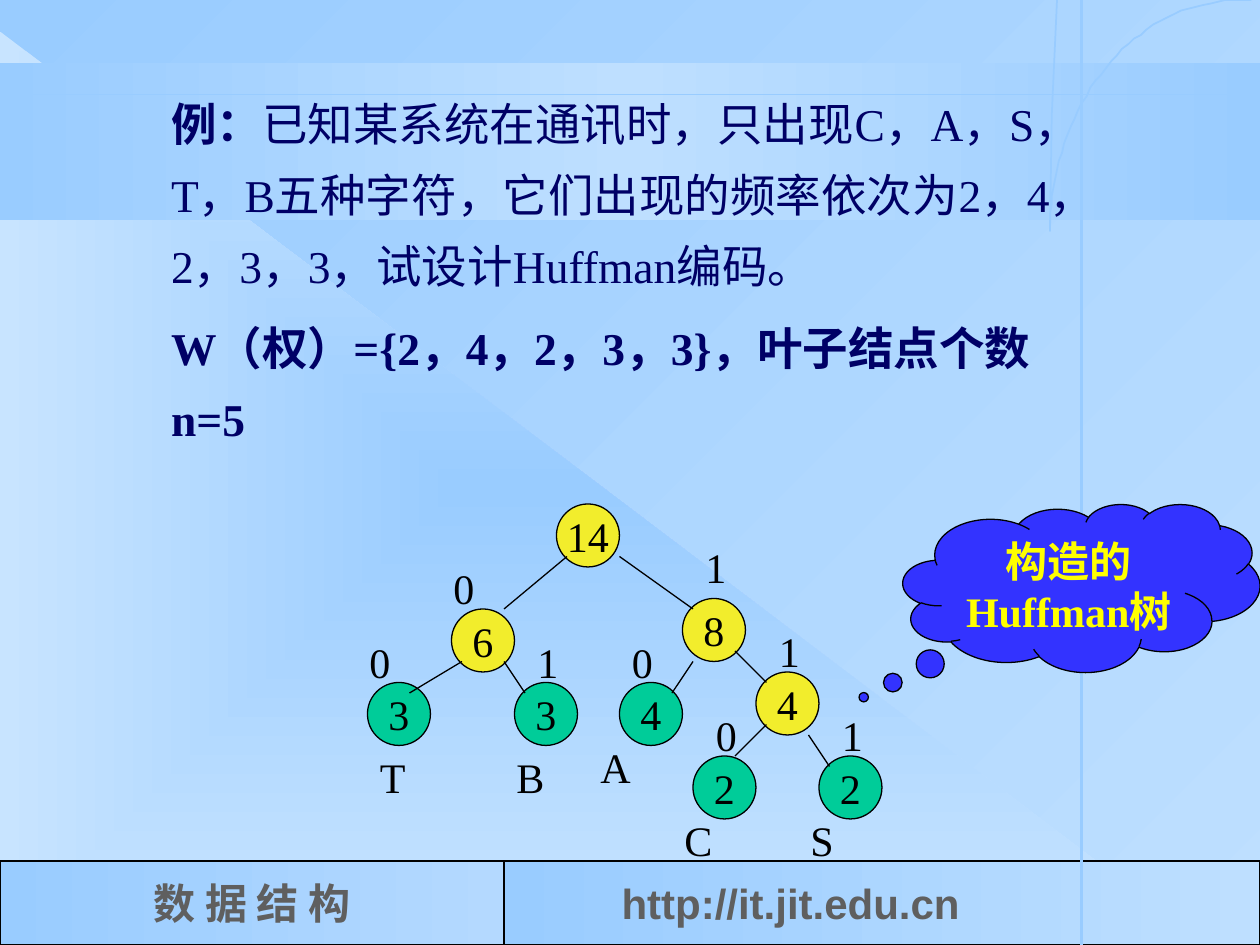
from math import cos, pi, sin

from lxml.etree import SubElement
from pptx import Presentation
from pptx.dml.color import RGBColor
from pptx.enum.shapes import MSO_CONNECTOR, MSO_SHAPE
from pptx.enum.text import MSO_ANCHOR, PP_ALIGN
from pptx.oxml.ns import qn
from pptx.util import Pt

SKY = RGBColor(0x99, 0xCC, 0xFF)
PALE = RGBColor(0xBE, 0xDF, 0xFF)
PALER = RGBColor(0xC8, 0xE4, 0xFF)
MIST = RGBColor(0xB4, 0xD9, 0xFF)
BLACK = RGBColor(0, 0, 0)
GRAY = RGBColor(0x5F, 0x5F, 0x5F)
NAVY = RGBColor(0, 0, 0x66)
YELLOW = RGBColor(0xFF, 0xFF, 0)
BLUE = RGBColor(0x33, 0x33, 0xFF)
INNER = RGBColor(0xF2, 0xED, 0x2C)
LEAF = RGBColor(0, 0xCC, 0x99)
SERIF = "Times New Roman"

# Each paragraph is a list of (text, bold) spans
PROBLEM = [
    [("例：", True),
     ("已知某系统在通讯时，只出现C，A，S，T，B五种字符，"
      "它们出现的频率依次为2，4，2，3，3，试设计Huffman编码。", False)],
    [("W（权）={2，4，2，3，3}，叶子结点个数n=5", True)],
]

# Tree positions are in grid steps of 6 points
GRID = 6
NODES = [  # weight, left, top, colour
    ("14", 53, 48, INNER), ("8", 65, 57, INNER), ("4", 72, 64, INNER),
    ("6", 43, 58, INNER), ("4", 59, 65, LEAF), ("2", 66, 72, LEAF),
    ("2", 78, 72, LEAF), ("3", 35, 65, LEAF), ("3", 49, 65, LEAF),
]
EDGES = [  # from, to, bit, left and top of the bit
    ((54, 53), (48, 58), "0", (42, 53)),
    ((59, 53), (66, 58), "1", (66, 51)),
    ((44, 63), (39, 66), "0", (34, 60)),
    ((48, 63), (50, 66), "1", (50, 60)),
    ((66, 63), (64, 66), "0", (59, 60)),
    ((70, 62), (73, 65), "1", (73, 59)),
    ((73, 69), (70, 72), "0", (67, 67)),
    ((77, 70), (79, 73), "1", (79, 67)),
]
LETTERS = [("T", 35, 71), ("B", 48, 71), ("A", 56, 70),
           ("C", 64, 77), ("S", 76, 77)]

deck = Presentation()
deck.slide_width, deck.slide_height = Pt(720), Pt(540)
page = deck.slides.add_slide(deck.slide_layouts[6])


def add_gradient(owner, fill, colors, angle=None):
    """Spread colours evenly, along an angle or out from the centre."""
    fill.gradient()
    gradient = owner.find(".//" + qn("a:gradFill"))
    for child in list(gradient):
        gradient.remove(child)
    stops = SubElement(gradient, qn("a:gsLst"))
    for index, color in enumerate(colors):
        position = index * 100000 // (len(colors) - 1)
        stop = SubElement(stops, qn("a:gs"), pos=str(position))
        SubElement(stop, qn("a:srgbClr"), val=str(color))
    if angle is None:
        centre = SubElement(gradient, qn("a:path"), path="rect")
        SubElement(centre, qn("a:fillToRect"),
                   dict.fromkeys("ltrb", "50000"))
    else:
        SubElement(gradient, qn("a:lin"), ang=str(angle * 60000), scaled="0")


def add_shape(kind, left, top, width, height, fill, line=None, angle=None):
    """Fill with one colour, or with a gradient when given a list."""
    shape = page.shapes.add_shape(kind, Pt(left), Pt(top), Pt(width), Pt(height))
    shape.shadow.inherit = False
    if isinstance(fill, list):
        add_gradient(shape._element.spPr, shape.fill, fill, angle)
    else:
        shape.fill.solid()
        shape.fill.fore_color.rgb = fill
    if line is None:
        shape.line.fill.background()
    else:
        shape.line.color.rgb = BLACK
        shape.line.width = Pt(line)
    return shape


def add_line(start, end, color, width):
    line = page.shapes.add_connector(
        MSO_CONNECTOR.STRAIGHT, *(Pt(value) for value in (*start, *end)))
    line.line.color.rgb = color
    line.line.width = Pt(width)
    SubElement(line._element.spPr, qn("a:effectLst"))


def write(box, paragraphs, size=24, color=BLACK, bold=False, font=SERIF,
          align=PP_ALIGN.LEFT, anchor=MSO_ANCHOR.TOP, wrap=True,
          spacing=None, before=0, inset=7.2):
    """Take a string, or a list of paragraphs made of (text, bold) spans."""
    if isinstance(paragraphs, str):
        paragraphs = [[(paragraphs, bold)]]
    frame = box.text_frame
    frame.word_wrap = wrap
    frame.vertical_anchor = anchor
    frame.margin_left = Pt(inset)
    for index, spans in enumerate(paragraphs):
        para = frame.add_paragraph() if index else frame.paragraphs[0]
        para.alignment = align
        if spacing:
            para.line_spacing = spacing
        if index:
            para.space_before = Pt(before)
        for text, is_bold in spans:
            span = para.add_run()
            span.text = text
            span.font.name = font
            span.font.size = Pt(size)
            span.font.bold = is_bold
            span.font.color.rgb = color


def add_text(left, top, width, height, paragraphs, **style):
    box = page.shapes.add_textbox(Pt(left), Pt(top), Pt(width), Pt(height))
    write(box, paragraphs, **style)


# Background, corner triangle and title band
add_gradient(page._element, page.background.fill, [SKY, PALE], 45)
add_shape(MSO_SHAPE.RIGHT_TRIANGLE, 0, 18, 690, 522, [SKY, PALER])
add_shape(MSO_SHAPE.RECTANGLE, 0, 36, 720, 90, [SKY, PALE, SKY], angle=0)

# Footer
course = add_shape(MSO_SHAPE.RECTANGLE, 0, 492, 288, 48, [SKY, MIST], 1.5, 0)
write(course, "数 据 结 构", color=GRAY, bold=True, align=PP_ALIGN.CENTER,
      anchor=MSO_ANCHOR.MIDDLE, wrap=False)
site = add_shape(MSO_SHAPE.RECTANGLE, 288, 492, 432, 48, [SKY, PALE], 1.5, 0)
write(site, "http://it.jit.edu.cn", color=GRAY, bold=True, font="Arial",
      anchor=MSO_ANCHOR.MIDDLE, inset=67.2)

# Guide lines and arc
add_line((0, 54), (720, 54), SKY, 1)
add_line((618, 0), (618, 540), SKY, 1.5)
STEPS = 40
quarter = [(708.5 - 108.5 * cos(pi / 2 * step / STEPS),
            132.5 - 132.5 * sin(pi / 2 * step / STEPS))
           for step in range(STEPS + 1)]
builder = page.shapes.build_freeform(604, 0, scale=Pt(1))
builder.add_line_segments([(601, 66), *quarter, (715, 0.5)], close=False)
arc = builder.convert_to_shape()
arc.shadow.inherit = False
arc.fill.background()
arc.line.color.rgb = SKY
arc.line.width = Pt(1)

# Problem statement
add_text(90.75, 42, 546, 216.5, PROBLEM, size=26, color=NAVY,
         spacing=1.3, before=6.5)

# Huffman tree
for weight, left, top, color in NODES:
    node = add_shape(MSO_SHAPE.OVAL, left * GRID, top * GRID, 36, 36, color, 0.75)
    write(node, weight, align=PP_ALIGN.CENTER, anchor=MSO_ANCHOR.MIDDLE,
          wrap=False)
for start, end, bit, (left, top) in EDGES:
    add_line([step * GRID for step in start], [step * GRID for step in end],
             BLACK, 0.75)
    add_text(left * GRID, top * GRID, 42, 36, bit)
for letter, left, top in LETTERS:
    add_text(left * GRID, top * GRID, 60, 36, letter)

# Callout
cloud = add_shape(MSO_SHAPE.CLOUD_CALLOUT, 516, 288, 204, 96, BLUE, 0.75)
cloud.adjustments[0] = -0.61
cloud.adjustments[1] = 0.65
write(cloud, "构造的Huffman树", color=YELLOW, bold=True, align=PP_ALIGN.CENTER)

deck.save("out.pptx")
